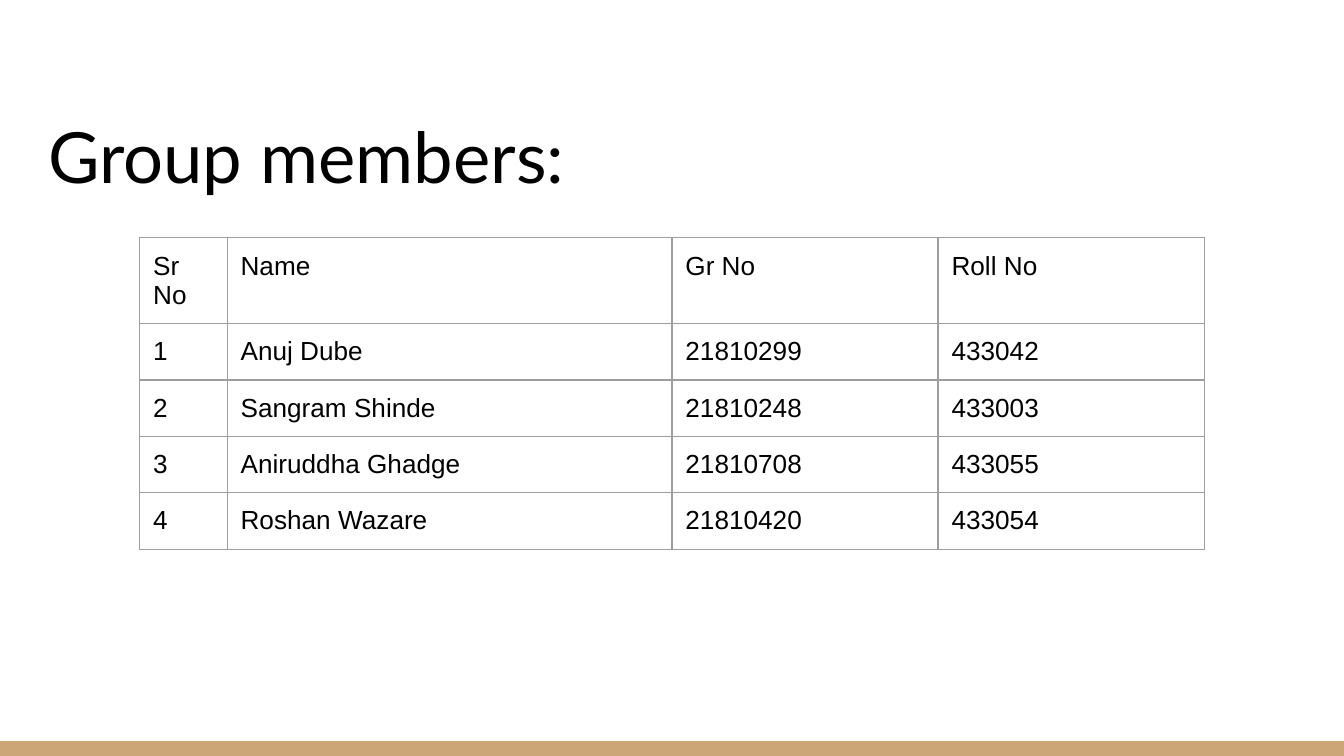
from dataclasses import dataclass

from lxml.etree import SubElement
from pptx import Presentation
from pptx.dml.color import RGBColor
from pptx.enum.shapes import MSO_SHAPE as Shape
from pptx.enum.text import MSO_ANCHOR as Anchor, MSO_AUTO_SIZE as AutoSize, PP_ALIGN as Align
from pptx.oxml.ns import qn
from pptx.util import Inches, Pt


@dataclass(frozen=True)
class Theme:
    """Colours, fonts and sizes of the slide."""
    text: str = "000000"
    paper: str = "FFFFFF"
    band: str = "CCA677"
    border: str = "9E9E9E"
    title_font: str = "Lato"
    body_font: str = "Arial"
    title_size: float = 37.8
    body_size: float = 14
    border_width: float = 0.75
    inset: float = 0.1


THEME = Theme()
SLIDE_WIDTH = Inches(10)
SLIDE_HEIGHT = SLIDE_WIDTH * 9 // 16
COLUMN_WIDTHS = (0.65, 3.31, 1.98, 1.98)
ROW_HEIGHT = 0.42
MEMBERS = (
    ("Sr No", "Name", "Gr No", "Roll No"),
    ("1", "Anuj Dube", "21810299", "433042"),
    ("2", "Sangram Shinde", "21810248", "433003"),
    ("3", "Aniruddha Ghadge", "21810708", "433055"),
    ("4", "Roshan Wazare", "21810420", "433054"),
)


def set_insets(target):
    """Give a cell or text frame the same inset on every side."""
    for side in ("left", "right", "top", "bottom"):
        setattr(target, f"margin_{side}", Inches(THEME.inset))


def write_text(frame, text, font, size):
    """Write one left-aligned paragraph and format its runs."""
    frame.text = text
    para = frame.paragraphs[0]
    para.alignment = Align.LEFT
    for span in para.runs:
        span.font.name = font
        span.font.size = Pt(size)
        span.font.color.rgb = RGBColor.from_string(THEME.text)


def add_footer_band(page):
    """Draw the coloured band along the bottom edge."""
    height = Inches(0.11)
    band = page.shapes.add_shape(
        Shape.RECTANGLE, 0, SLIDE_HEIGHT - height, SLIDE_WIDTH, height)
    band.shadow.inherit = False
    band.fill.solid()
    band.fill.fore_color.rgb = RGBColor.from_string(THEME.band)
    band.line.fill.background()


def set_title(page, text):
    """Place and format the title placeholder."""
    title = page.shapes.title
    title.left, title.top = Inches(0.26), Inches(1.08)
    title.width, title.height = Inches(9.4), Inches(0.49)
    frame = title.text_frame
    frame.word_wrap = True
    frame.auto_size = AutoSize.NONE
    frame.vertical_anchor = Anchor.BOTTOM
    set_insets(frame)
    write_text(frame, text, THEME.title_font, THEME.title_size)


def add_borders(cell):
    """Outline all four sides of a cell."""
    properties = cell._tc.get_or_add_tcPr()
    for side in ("lnL", "lnR", "lnT", "lnB"):
        line = SubElement(properties, qn(f"a:{side}"), w=str(Pt(THEME.border_width)))
        fill = SubElement(line, qn("a:solidFill"))
        SubElement(fill, qn("a:srgbClr"), val=THEME.border)


def add_member_table(page):
    """Add the table of group members."""
    frame = page.shapes.add_table(
        len(MEMBERS), len(COLUMN_WIDTHS), Inches(1.04), Inches(1.77),
        Inches(sum(COLUMN_WIDTHS)), Inches(ROW_HEIGHT * len(MEMBERS)))
    table = frame.table
    table.first_row = table.horz_banding = False
    for column, width in zip(table.columns, COLUMN_WIDTHS):
        column.width = Inches(width)
    for row, values in zip(table.rows, MEMBERS):
        row.height = Inches(ROW_HEIGHT)
        for cell, value in zip(row.cells, values):
            set_insets(cell)
            add_borders(cell)
            cell.fill.background()
            write_text(cell.text_frame, value, THEME.body_font, THEME.body_size)


def main():
    """Build and save the slide."""
    deck = Presentation()
    deck.slide_width, deck.slide_height = SLIDE_WIDTH, SLIDE_HEIGHT
    page = deck.slides.add_slide(deck.slide_layouts[5])
    page.background.fill.solid()
    page.background.fill.fore_color.rgb = RGBColor.from_string(THEME.paper)
    add_footer_band(page)
    set_title(page, "Group members:")
    add_member_table(page)
    deck.save("out.pptx")


if __name__ == "__main__":
    main()
